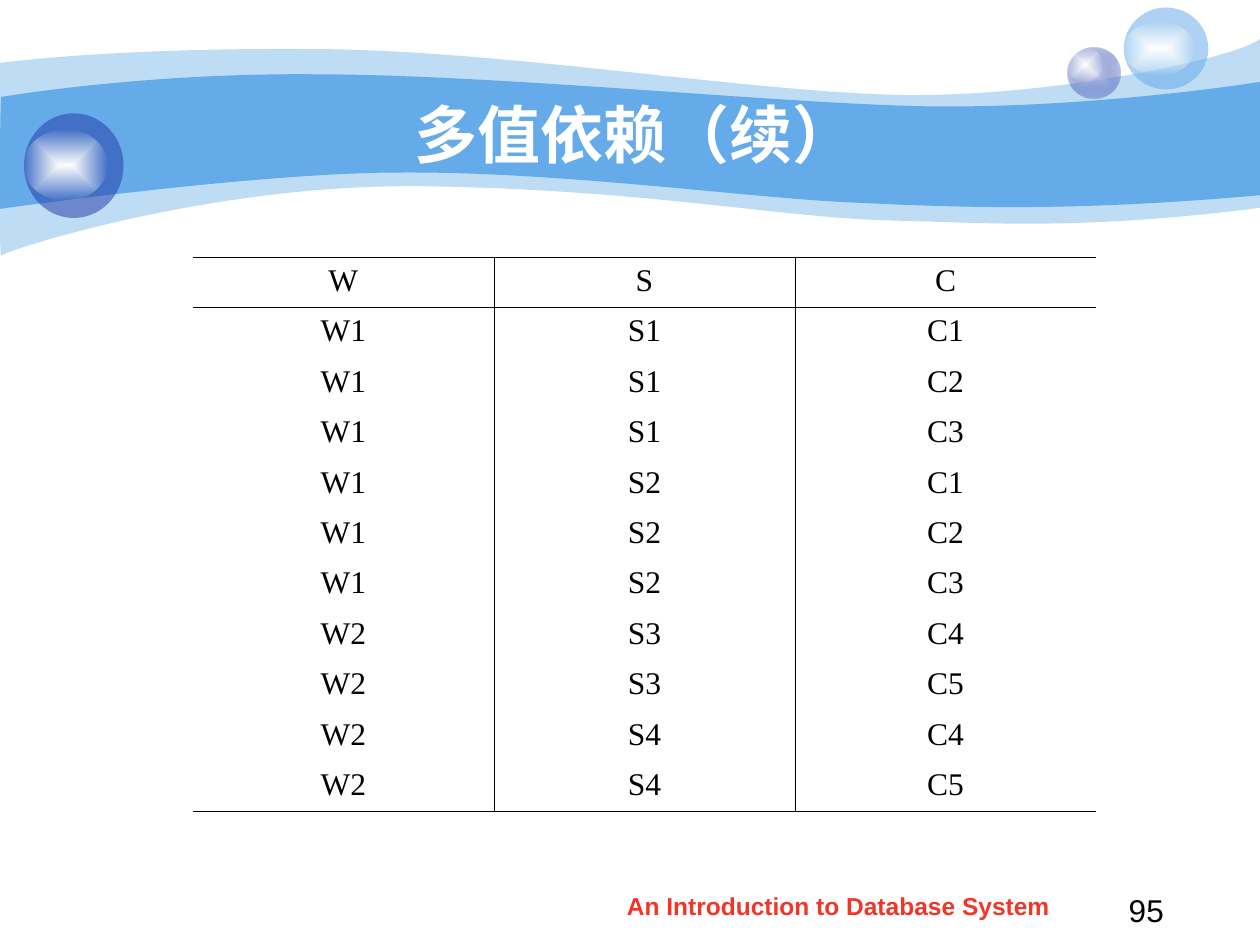
from lxml import etree
from pptx import Presentation
from pptx.dml.color import RGBColor
from pptx.enum.shapes import MSO_SHAPE
from pptx.enum.text import MSO_ANCHOR, PP_ALIGN
from pptx.oxml import parse_xml
from pptx.oxml.ns import nsdecls, qn
from pptx.util import Inches, Pt

OVAL = MSO_SHAPE.OVAL
CENTER, JUSTIFY = PP_ALIGN.CENTER, PP_ALIGN.JUSTIFY
TOP, MIDDLE = MSO_ANCHOR.TOP, MSO_ANCHOR.MIDDLE
TITLE_ONLY = 5

SKY, NAVY, LILAC = "65AAE9", "233DA9", "C7CEE9"
WHITE, BLACK, RED = "FFFFFF", "000000", "F03628"
GLOSS = [(WHITE, 100), (WHITE, 0)]

# Each segment is a line to one point or a Bezier curve through three, in inches.
OUTER_WAVE = [
    [(0, 0.5)],
    [(0.24, 0.47), (1.07, 0.38), (2.47, 0.39)],
    [(3.86, 0.39), (5.75, 0.7), (6.99, 0.75)],
    [(8.22, 0.8), (9.8, 0.47), (10, 0.31)],
    [(10, 1.65)],
    [(8.58, 1.83), (7.87, 1.77), (7.05, 1.75)],
    [(6.22, 1.73), (5.15, 1.51), (3.43, 1.48)],
    [(1.72, 1.44), (0.04, 1.99), (0.01, 2.03)],
    [(-0.01, 2.08), (0, 0.75), (0, 0.5)],
]
INNER_WAVE = [
    [(0.01, 0.77)],
    [(0.02, 0.77), (1.1, 0.58), (2.48, 0.59)],
    [(3.86, 0.59), (5.95, 0.8), (7.18, 0.84)],
    [(8.41, 0.88), (9.76, 0.69), (10, 0.65)],
    [(10, 1.55)],
    [(8.53, 1.68), (7.65, 1.65), (6.82, 1.61)],
    [(5.99, 1.58), (4.47, 1.36), (3.17, 1.37)],
    [(2.03, 1.37), (-0.02, 1.66), (-0.01, 1.66)],
    [(0, 1.66), (0, 0.77), (0.01, 0.77)],
]
# Ball box, ball colours with opacity, highlight box.
BALLS = [
    ((8.47, 0.38, 0.42, 0.4), [(LILAC, 100), (NAVY, 31)], (8.47, 0.38, 0.28, 0.27)),
    ((8.92, 0.06, 0.67, 0.65), [(SKY, 53)], (8.92, 0.17, 0.56, 0.43)),
    ((0.19, 0.9, 0.79, 0.83), [(NAVY, 53)], (0.19, 1.03, 0.66, 0.56)),
]
ROWS = [
    ("W", "S", "C"),
    ("W1", "S1", "C1"),
    ("W1", "S1", "C2"),
    ("W1", "S1", "C3"),
    ("W1", "S2", "C1"),
    ("W1", "S2", "C2"),
    ("W1", "S2", "C3"),
    ("W2", "S3", "C4"),
    ("W2", "S3", "C5"),
    ("W2", "S4", "C4"),
    ("W2", "S4", "C5"),
]


def color(value):
    return RGBColor.from_string(value)


def paint(shape, stops):
    """Fill with one (colour, opacity) or a gradient from centre to edge."""
    shape.shadow.inherit = False
    shape.line.fill.background()
    shape.fill.solid()
    shape.fill.fore_color.rgb = color(stops[0][0])
    solid = shape.element.spPr.find(qn("a:solidFill"))
    if len(stops) == 1:
        opacity = stops[0][1]
        if opacity < 100:
            etree.SubElement(solid[0], qn("a:alpha"), val=str(opacity * 1000))
        return
    marks = "".join(
        f'<a:gs pos="{position}"><a:srgbClr val="{value}">'
        f'<a:alpha val="{opacity * 1000}"/></a:srgbClr></a:gs>'
        for position, (value, opacity) in zip((0, 100000), stops)
    )
    gradient = parse_xml(
        f'<a:gradFill {nsdecls("a")} rotWithShape="1"><a:gsLst>{marks}</a:gsLst>'
        '<a:path path="rect"><a:fillToRect l="50000" t="50000" r="50000" b="50000"/>'
        "</a:path></a:gradFill>"
    )
    solid.getparent().replace(solid, gradient)


def bend(shape, segments):
    """Join the lines of each three-point segment into one Bezier curve."""
    lines = iter(list(shape.element.iter(qn("a:lnTo"))))
    for segment in segments:
        parts = [next(lines) for _ in segment]
        if len(parts) == 3:
            curve = etree.Element(qn("a:cubicBezTo"))
            parts[0].addprevious(curve)
            for part in parts:
                curve.append(part[0])
                part.getparent().remove(part)


def add_wave(slide, segments, opacity):
    start, *points = [
        (Inches(x), Inches(y)) for segment in segments for x, y in segment
    ]
    builder = slide.shapes.build_freeform(*start)
    builder.add_line_segments(points, close=True)
    wave = builder.convert_to_shape()
    bend(wave, segments[1:])
    paint(wave, [(SKY, opacity)])


def add_ball(slide, box, stops, highlight_box):
    group = slide.shapes.add_group_shape()
    for place, fill in ((box, stops), (highlight_box, GLOSS)):
        paint(group.shapes.add_shape(OVAL, *map(Inches, place)), fill)


def write(frame, text, size, font="Arial", value=BLACK, bold=False, align=CENTER,
          line_spacing=None):
    paragraph = frame.paragraphs[0]
    paragraph.alignment = align
    paragraph.line_spacing = line_spacing
    run = paragraph.add_run()
    run.text = text
    run.font.size = Pt(size)
    run.font.name = font
    run.font.bold = bold
    run.font.color.rgb = color(value)


def add_text(slide, box, text, **text_format):
    frame = slide.shapes.add_textbox(*map(Inches, box)).text_frame
    frame.word_wrap = True
    frame.vertical_anchor = TOP
    write(frame, text, **text_format)


def add_title(slide, text):
    title = slide.shapes.title
    title.left, title.top, title.width, title.height = map(Inches, (1, 0.75, 8.08, 0.62))
    title.text_frame.vertical_anchor = MIDDLE
    write(title.text_frame, text, size=36, value=WHITE, bold=True)
    slide.shapes.element.append(title.element)  # in front of the waves


def set_borders(cell, drawn):
    properties = cell._tc.get_or_add_tcPr()
    for side in "LRTB":
        line = etree.SubElement(properties, qn(f"a:ln{side}"), w=str(Pt(0.45)))
        if side in drawn:
            fill = etree.SubElement(line, qn("a:solidFill"))
            etree.SubElement(fill, qn("a:srgbClr"), val=BLACK)
        else:
            etree.SubElement(line, qn("a:noFill"))


def add_relation_table(slide):
    last_row, last_column = len(ROWS) - 1, len(ROWS[0]) - 1
    table = slide.shapes.add_table(
        len(ROWS), len(ROWS[0]), Inches(1.53), Inches(2.04), Inches(7.17), Inches(4.4)
    ).table
    table.first_row = table.horz_banding = False
    for row, values in enumerate(ROWS):
        for column, text in enumerate(values):
            cell = table.cell(row, column)
            sides = {"L": column > 0, "R": column < last_column,
                     "T": row <= 1, "B": row in (0, last_row)}
            set_borders(cell, [side for side, drawn in sides.items() if drawn])
            cell.fill.background()
            write(cell.text_frame, text, size=18, font="Times New Roman")


def main():
    presentation = Presentation()
    presentation.slide_width, presentation.slide_height = Inches(10), Inches(7.5)
    slide = presentation.slides.add_slide(presentation.slide_layouts[TITLE_ONLY])
    slide.background.fill.solid()
    slide.background.fill.fore_color.rgb = color(WHITE)
    add_wave(slide, OUTER_WAVE, 41)
    add_wave(slide, INNER_WAVE, 100)
    for ball in BALLS:
        add_ball(slide, *ball)
    add_text(slide, (8.86, 7.06, 0.79, 0.37), "95", size=18, align=JUSTIFY,
             line_spacing=0.9)
    add_text(slide, (4.69, 7.02, 3.93, 0.35), "An Introduction to Database System",
             size=14, value=RED, bold=True)
    add_title(slide, "多值依赖（续）")
    add_relation_table(slide)
    presentation.save("out.pptx")


if __name__ == "__main__":
    main()
